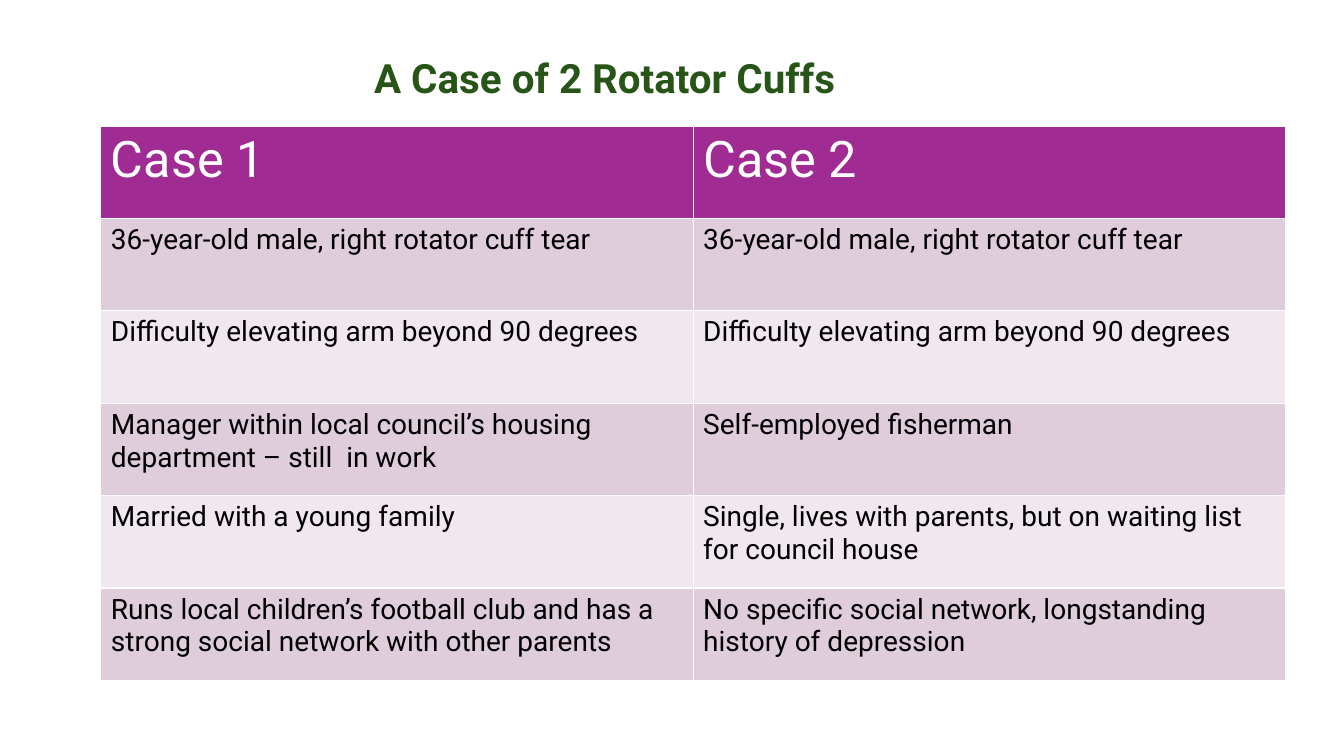
"""Build the slide comparing two rotator cuff cases in a table."""
from pptx import Presentation
from pptx.dml.color import RGBColor
from pptx.enum.text import MSO_ANCHOR, MSO_AUTO_SIZE, PP_ALIGN
from pptx.util import Pt

PX = 9144
LEFT, MIDDLE, NO_FIT = PP_ALIGN.LEFT, MSO_ANCHOR.MIDDLE, MSO_AUTO_SIZE.NONE
COLORS = {
    "title": "275417",
    "header": "A02B93",
    "header_text": "FFFFFF",
    "band_dark": "DFCDDC",
    "band_light": "F0E8EE",
    "text": "000000",
}
CASES = [
    ("Case 1", "Case 2"),
    ("36-year-old male, right rotator cuff tear",
     "36-year-old male, right rotator cuff tear"),
    ("Difficulty elevating arm beyond 90 degrees",
     "Difficulty elevating arm beyond 90 degrees"),
    ("Manager within local council’s housing department – still  in work",
     "Self-employed fisherman"),
    ("Married with a young family",
     "Single, lives with parents, but on waiting list for council house"),
    ("Runs local children’s football club and has a strong social network with other parents",
     "No specific social network, longstanding history of depression"),
]


def write(tf, text, size, color, bold=False):
    tf.text = text
    p = tf.paragraphs[0]
    p.alignment = LEFT
    font = p.runs[0].font
    for name, value in {"name": "Roboto", "size": Pt(size), "bold": bold}.items():
        setattr(font, name, value)
    font.color.rgb = RGBColor.from_string(COLORS[color])
    return p


prs = Presentation()
prs.slide_width, prs.slide_height = 1333 * PX, 750 * PX
s = prs.slides.add_slide(prs.slide_layouts[5])

title = s.shapes.title
title.left, title.top, title.width, title.height = (v * PX for v in (361, 53, 837, 54))
tf = title.text_frame
for name, value in {"word_wrap": True, "auto_size": NO_FIT, "vertical_anchor": MIDDLE}.items():
    setattr(tf, name, value)
p = write(tf, "A Case of 2 Rotator Cuffs", 28.8, "title", True)
p.line_spacing = 0.9

table = s.shapes.add_table(
    len(CASES), 2, 100 * PX, 125 * PX, 1175 * PX, 550 * PX).table
for i, case in enumerate(CASES):
    if i == 0:
        fill, color, size = "header", "header_text", 36
    else:
        fill, color, size = "band_dark" if i % 2 else "band_light", "text", 20
    for j, text in enumerate(case):
        cell = table.cell(i, j)
        cell.fill.solid()
        cell.fill.fore_color.rgb = RGBColor.from_string(COLORS[fill])
        write(cell.text_frame, text, size, color)

prs.save("out.pptx")
